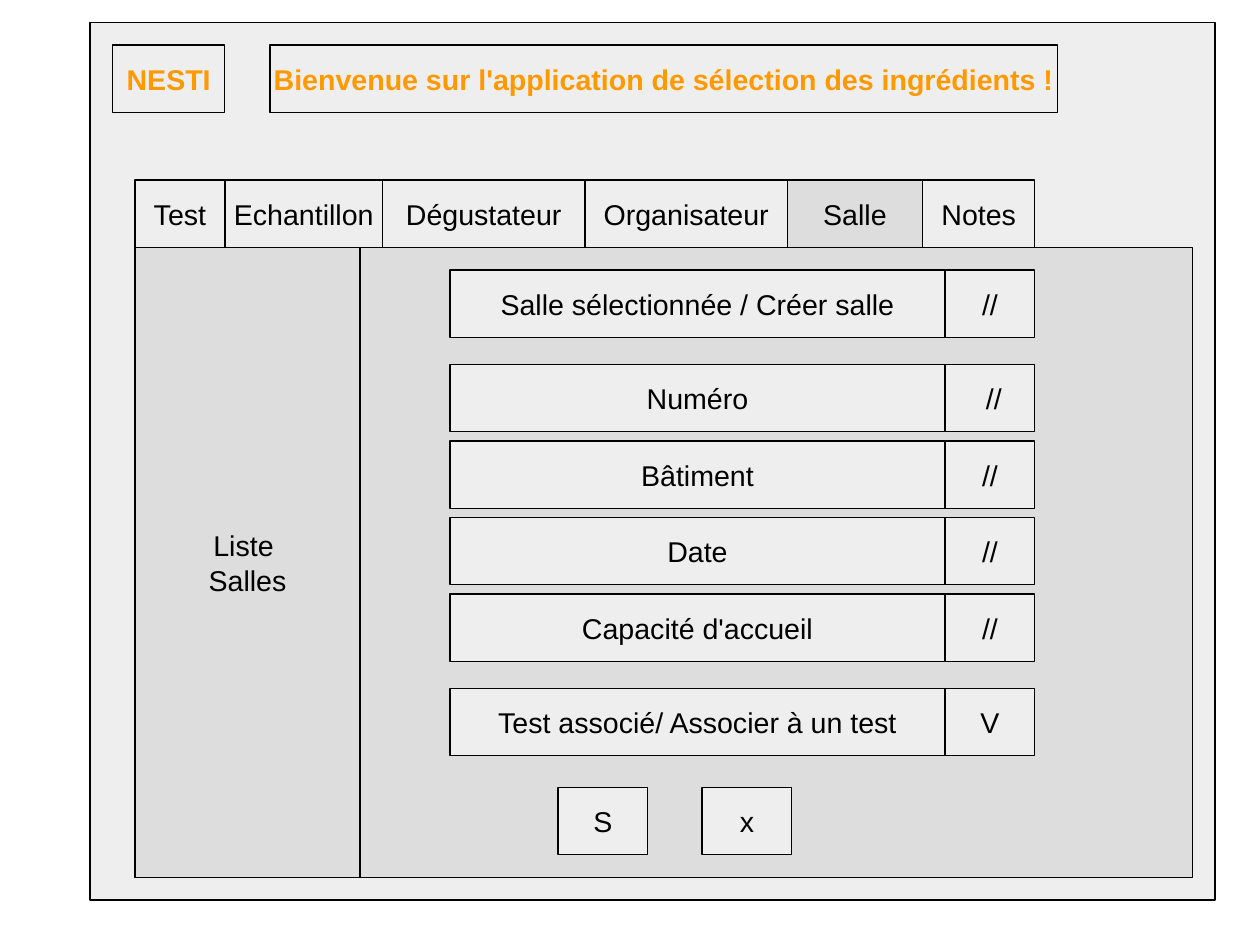
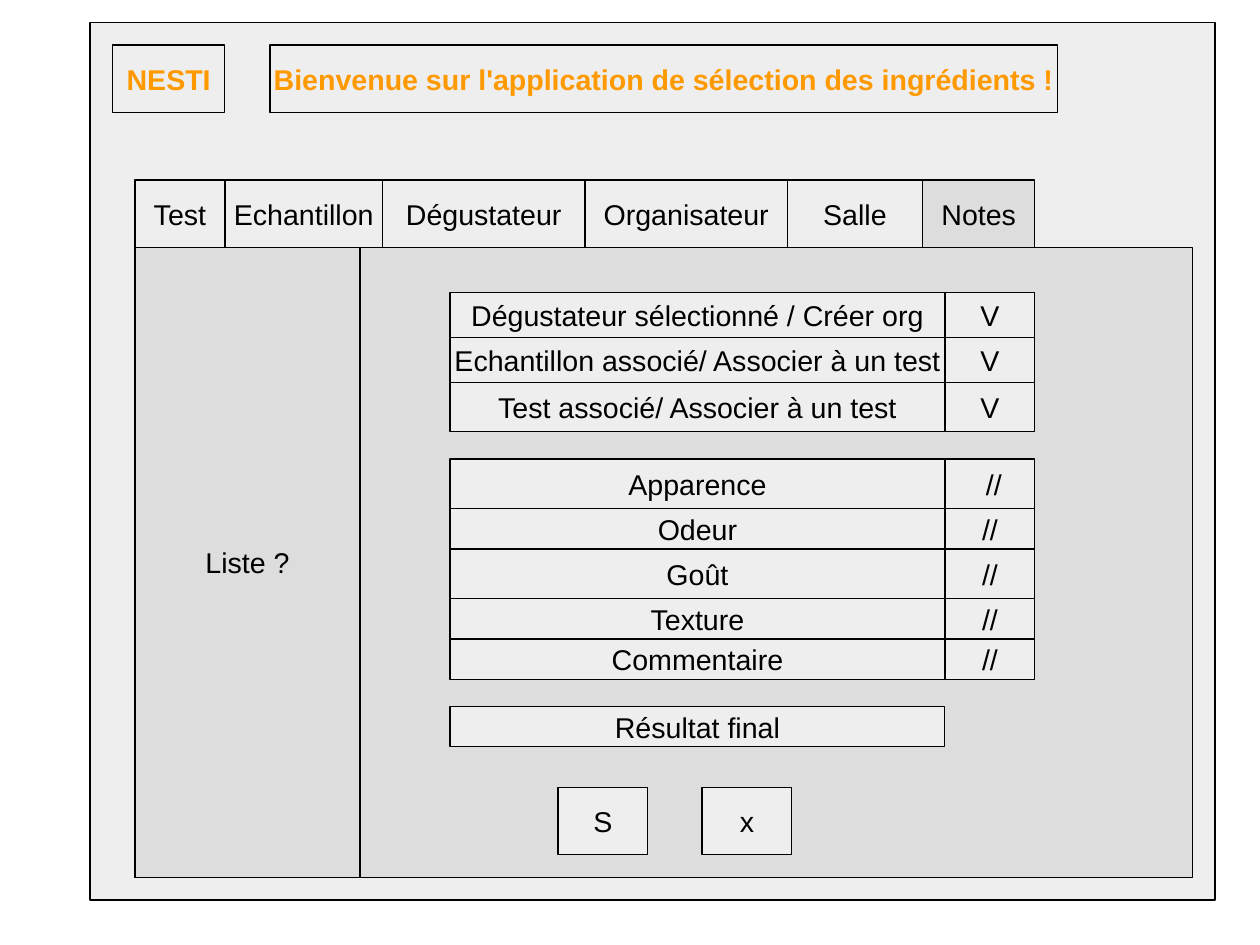
from itertools import accumulate

from pptx import Presentation
from pptx.dml.color import RGBColor
from pptx.enum.shapes import MSO_SHAPE
from pptx.enum.text import MSO_ANCHOR as Anchor, PP_ALIGN as Align
from pptx.util import Pt

LIGHT = RGBColor(0xEE, 0xEE, 0xEE)
SHADE = RGBColor(0xDD, 0xDD, 0xDD)
BLACK = RGBColor(0x00, 0x00, 0x00)
ORANGE = RGBColor(0xFF, 0x99, 0x00)

GRID = 28.35
SLIDE_SIZE = (28, 21)
BLANK_LAYOUT = 6
BOX_HEIGHT = 1.5
BUTTON_WIDTH = 2
PANEL_LEFT, PANEL_TOP, PANEL_HEIGHT = 3, 5.5, 14
FIELD_LEFT, FIELD_WIDTH = 10, 11
TABS = {"Test": 2, "Echantillon": 3.5, "Dégustateur": 4.5,
        "Organisateur": 4.5, "Salle": 3, "Notes": 2.5}


def grid(units):
    """Return a length given in grid units, through points."""
    return Pt(round(units * GRID, 2))


class Mockup:
    """Draws application screens, holding their style and the current slide."""

    font_name = "Arial"
    font_size = Pt(18)

    def __init__(self):
        """Start an empty presentation."""
        self.presentation = Presentation()
        self.presentation.slide_width, self.presentation.slide_height = map(grid, SLIDE_SIZE)
        self.slide = None

    def box(self, left, top, width, height=BOX_HEIGHT, text="", fill=LIGHT,
            color=BLACK, bold=False):
        """Add a hairline rectangle with optional centred text."""
        shape = self.slide.shapes.add_shape(
            MSO_SHAPE.RECTANGLE, grid(left), grid(top), grid(width), grid(height))
        shape.shadow.inherit = False
        shape.fill.solid()
        shape.fill.fore_color.rgb = fill
        shape.line.color.rgb = BLACK
        shape.line.width = Pt(0)
        if not text:
            return
        frame = shape.text_frame
        frame.text = text
        frame.word_wrap = False
        frame.vertical_anchor = Anchor.MIDDLE
        for paragraph in frame.paragraphs:
            paragraph.alignment = Align.CENTER
            font = paragraph.font
            font.name, font.size, font.bold = self.font_name, self.font_size, bold
            font.color.rgb = color

    def tabs(self, active):
        """Add the row of tabs, shading the active one."""
        lefts = accumulate(TABS.values(), initial=PANEL_LEFT)
        for left, (name, width) in zip(lefts, TABS.items()):
            self.box(left, PANEL_TOP - BOX_HEIGHT, width, text=name,
                     fill=SHADE if name == active else LIGHT)

    def screen(self, active_tab, list_title):
        """Add a slide with the window, header, tabs, list and buttons."""
        layout = self.presentation.slide_layouts[BLANK_LAYOUT]
        self.slide = self.presentation.slides.add_slide(layout)
        self.box(2, 0.5, 25, 19.5)
        self.box(2.5, 1, 2.5, text="NESTI", color=ORANGE, bold=True)
        self.box(6, 1, 17.5, color=ORANGE, bold=True,
                 text="Bienvenue sur l'application de sélection des ingrédients !")
        self.tabs(active_tab)
        self.box(PANEL_LEFT, PANEL_TOP, 23.5, PANEL_HEIGHT, fill=SHADE)
        self.box(PANEL_LEFT, PANEL_TOP, 5, PANEL_HEIGHT, list_title, SHADE)
        for left, label in ((12.4, "S"), (15.6, "x")):
            self.box(left, 17.5, BUTTON_WIDTH, text=label)

    def fields(self, top, rows, gap=0):
        """Stack fields given as label, button text and height."""
        for label, button, height in rows:
            self.box(FIELD_LEFT, top, FIELD_WIDTH, height, label)
            if button:
                self.box(FIELD_LEFT + FIELD_WIDTH, top, BUTTON_WIDTH, height, button)
            top += height + gap


def main():
    """Build both screens and save them."""
    mockup = Mockup()

    mockup.screen("Salle", "Liste \nSalles")
    mockup.fields(6, [("Salle sélectionnée / Créer salle", "//", BOX_HEIGHT)])
    mockup.fields(8.1, [
        ("Numéro", " //", BOX_HEIGHT),
        ("Bâtiment", "//", BOX_HEIGHT),
        ("Date", "//", BOX_HEIGHT),
        ("Capacité d'accueil", "//", BOX_HEIGHT),
    ], gap=0.2)
    mockup.fields(15.3, [("Test associé/ Associer à un test", "V", BOX_HEIGHT)])

    mockup.screen("Notes", "Liste ?")
    mockup.fields(6.5, [
        ("Dégustateur sélectionné / Créer org", "V", 1),
        ("Echantillon associé/ Associer à un test", "V", 1),
        ("Test associé/ Associer à un test", "V", 1.1),
    ])
    mockup.fields(10.2, [
        ("Apparence", " //", 1.1),
        ("Odeur", "//", 0.9),
        ("Goût", "//", 1.1),
        ("Texture", "//", 0.9),
        ("Commentaire", "//", 0.9),
    ])
    mockup.fields(15.7, [("Résultat final", "", 0.9)])

    mockup.presentation.save("out.pptx")


if __name__ == "__main__":
    main()
